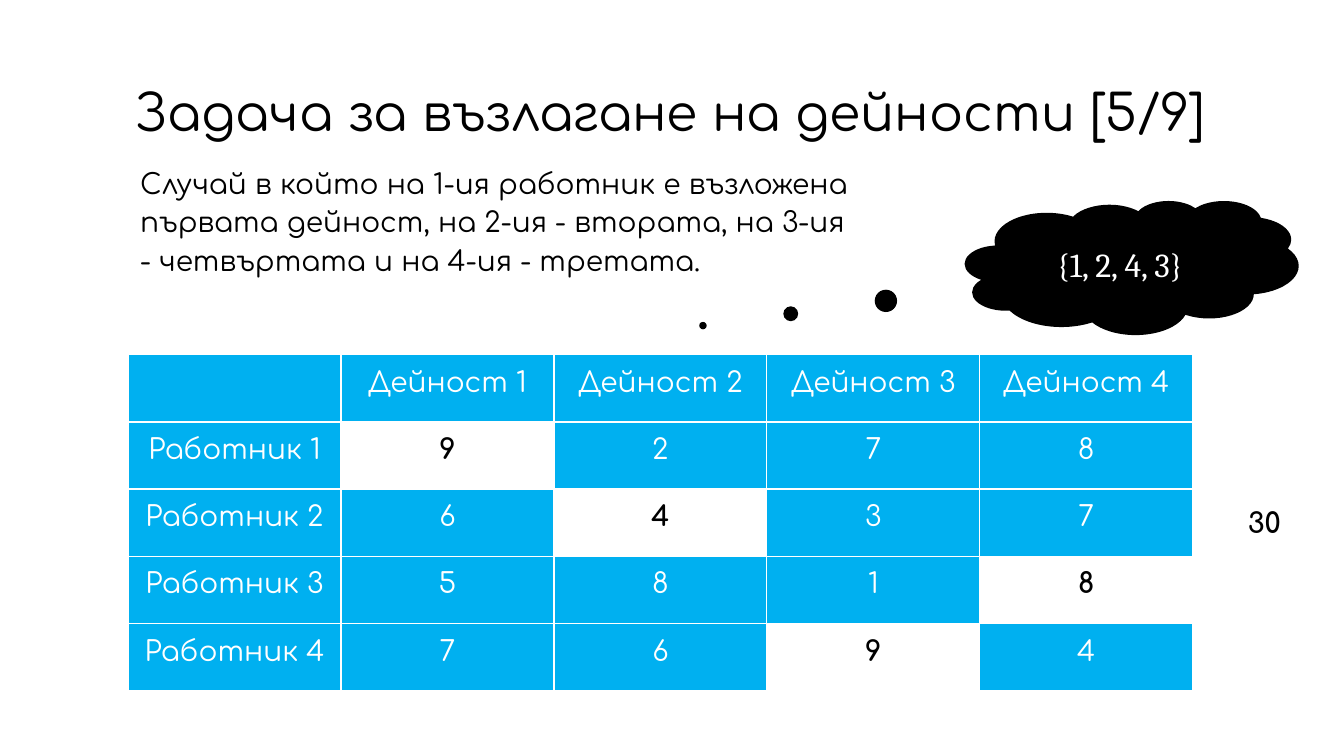
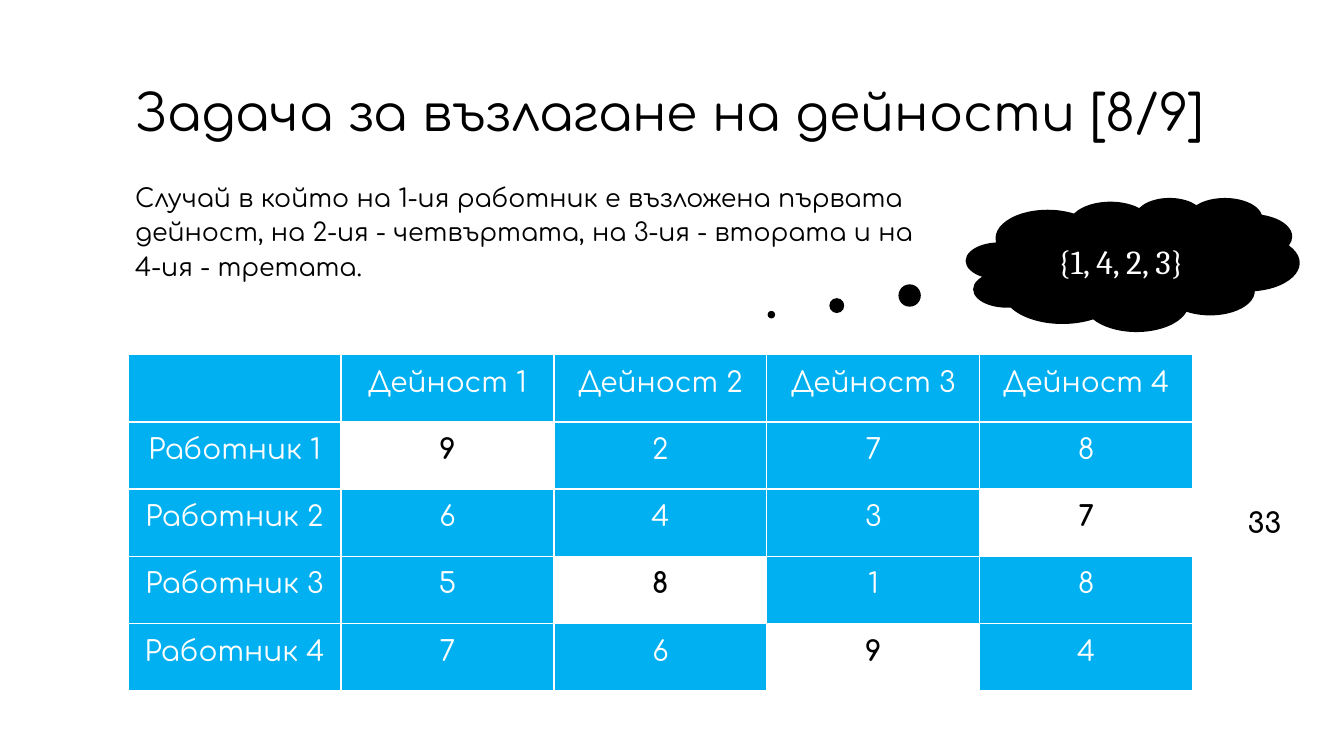
import pptx
import pptx.dml.color
import pptx.enum.shapes
import pptx.enum.text
import pptx.oxml
import pptx.oxml.ns
import pptx.util
from pptx.util import Inches


class Theme:
    black = pptx.dml.color.RGBColor(0x00, 0x00, 0x00)
    white = pptx.dml.color.RGBColor(0xFF, 0xFF, 0xFF)
    blue = pptx.dml.color.RGBColor(0x00, 0xB0, 0xF0)
    font = "Comfortaa"
    math_font = "Cambria"
    title = 36
    formula = 24
    table = 20


CENTER = pptx.enum.text.PP_ALIGN.CENTER
MIDDLE = pptx.enum.text.MSO_ANCHOR.MIDDLE
BORDER = ('<a:{side} {ns} w="12700"><a:solidFill><a:srgbClr val="{color}"/>'
          '</a:solidFill></a:{side}>')


def write(tf, text, size, color=Theme.black, font=Theme.font, bold=False,
          align=None, spacing=None):
    """Fill a text frame with one paragraph in one style."""
    p = tf.paragraphs[0]
    p.text = text
    p.alignment = align
    p.line_spacing = spacing
    p.font.size = pptx.util.Pt(size)
    p.font.name = font
    p.font.bold = bold
    p.font.color.rgb = color


def add_text(s, box, text, size, margins=(0.1, 0.05), anchor=None, **style):
    tf = s.shapes.add_textbox(*map(Inches, box)).text_frame
    tf.word_wrap = True
    tf.margin_left = tf.margin_right = Inches(margins[0])
    tf.margin_top = tf.margin_bottom = Inches(margins[1])
    tf.vertical_anchor = anchor
    write(tf, text, size, **style)


costs = [[9, 2, 7, 8], [6, 4, 3, 7], [5, 8, 1, 8], [7, 6, 9, 4]]
header = [""] + [f"Дейност {n}" for n in range(1, 5)]
grid = [header] + [[f"Работник {n}", *row] for n, row in enumerate(costs, 1)]

# assignment[i] is the activity given to worker i + 1
cases = [
    dict(number=5, assignment=[1, 2, 4, 3],
         text="Случай в който на 1-ия работник е възложена първата дейност, "
              "на 2-ия - втората, на 3-ия - четвъртата и на 4-ия - третата.",
         text_box=(1.27, 1.56, 7.39, 1.9), text_size=20,
         cloud_at=(9.57, 1.99), tail=(-1.285, 0.433)),
    dict(number=8, assignment=[1, 4, 2, 3],
         text="Случай в който на 1-ия работник е възложена първата дейност, "
              "на 2-ия - четвъртата, на 3-ия - втората и на 4-ия - третата.",
         text_box=(1.22, 1.72, 7.97, 1.57), text_size=18,
         cloud_at=(9.58, 1.96), tail=(-1.083, 0.374)),
]

prs = pptx.Presentation()
prs.slide_width, prs.slide_height = Inches(13.33), Inches(7.5)

for case in cases:
    s = prs.slides.add_slide(prs.slide_layouts[6])
    assignment = case["assignment"]

    add_text(s, (1.22, 0.72, 11.58, 0.84),
             f"Задача за възлагане на дейности [{case['number']}/9]",
             Theme.title, margins=(0.12, 0.04), anchor=MIDDLE, spacing=0.9)
    add_text(s, case["text_box"], case["text"], case["text_size"],
             margins=(0.12, 0.04), spacing=1.15)

    # Thought cloud with the assignment
    sp = s.shapes.add_shape(pptx.enum.shapes.MSO_SHAPE.CLOUD_CALLOUT,
                            *map(Inches, (*case["cloud_at"], 3.31, 1.33)))
    sp.adjustments[0], sp.adjustments[1] = case["tail"]
    sp.shadow.inherit = False
    sp.fill.solid()
    sp.fill.fore_color.rgb = Theme.black
    sp.line.fill.background()
    tf = sp.text_frame
    tf.word_wrap = True
    tf.vertical_anchor = MIDDLE
    tf.margin_left = tf.margin_right = Inches(0.13)
    tf.margin_top = tf.margin_bottom = Inches(0.13)
    write(tf, "{" + ", ".join(map(str, assignment)) + "}", Theme.formula,
          color=Theme.white, font=Theme.math_font, align=CENTER)

    # Cost table with the chosen cells in white
    table = s.shapes.add_table(5, 5, *map(Inches, (1.27, 3.52, 10.56, 3.33))).table
    for r, row in enumerate(grid):
        for c, value in enumerate(row):
            chosen = r > 0 and c == assignment[r - 1]
            cell = table.cell(r, c)
            cell.margin_left = cell.margin_right = Inches(0.13)
            cell.margin_top = cell.margin_bottom = Inches(0.13)
            tcPr = cell._tc.get_or_add_tcPr()
            for side in ("lnL", "lnR", "lnT", "lnB"):
                tcPr.append(pptx.oxml.parse_xml(BORDER.format(
                    side=side, ns=pptx.oxml.ns.nsdecls("a"), color=Theme.white)))
            cell.fill.solid()
            cell.fill.fore_color.rgb = Theme.white if chosen else Theme.blue
            write(cell.text_frame, str(value), Theme.table, bold=chosen, align=CENTER,
                  color=Theme.black if chosen else Theme.white)

    total = sum(row[n - 1] for row, n in zip(costs, assignment))
    add_text(s, (12.06, 4.97, 0.96, 0.67), str(total), Theme.table,
             bold=True, align=CENTER)

prs.save("out.pptx")
